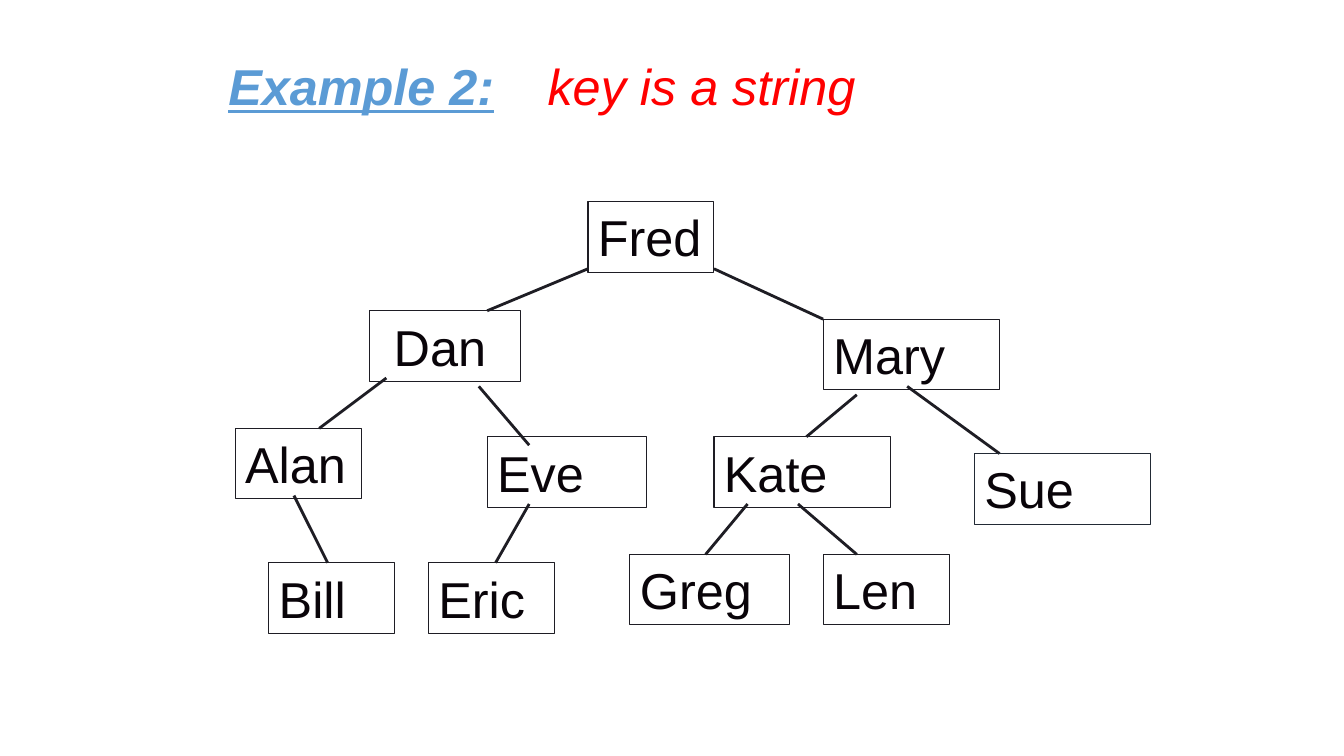
from typing import NamedTuple

from lxml.etree import SubElement
from pptx import Presentation
from pptx.dml.color import RGBColor
from pptx.enum.shapes import MSO_CONNECTOR as Connector, MSO_SHAPE as Preset
from pptx.enum.text import MSO_ANCHOR as Anchor, MSO_AUTO_SIZE as AutoSize, PP_ALIGN as Align
from pptx.oxml.ns import qn
from pptx.util import Pt

COLORS = {"heading": "5B9BD5", "topic": "FF0000", "key": "090409",
          "edge": "1E1D24", "sue_border": "222A35"}
BOX_HEIGHT = 50.4
SIDE_INSET = 7.2


class Title(NamedTuple):
    text: str
    left: float
    width: float
    color: str
    emphasis: bool


class Node(NamedTuple):
    key: str
    left: float
    top: float
    width: float
    border: str = "edge"
    indent: float = 0


class Edge(NamedTuple):
    x1: float
    y1: float
    x2: float
    y2: float


TITLES = [
    Title("Example 2:", 156, 312, "heading", True),
    Title("key is a string", 384, 264, "topic", False),
]

NODES = [
    Node("Fred", 420, 144, 90),
    Node("Dan", 264, 222, 108, indent=10),
    Node("Mary", 588, 228, 126),
    Node("Alan", 168, 306, 90),
    Node("Eve", 348, 312, 114),
    Node("Kate", 510, 312, 126),
    Node("Sue", 696, 324, 126, border="sue_border"),
    Node("Bill", 192, 402, 90),
    Node("Eric", 306, 402, 90),
    Node("Greg", 450, 396, 114),
    Node("Len", 588, 396, 90),
]

EDGES = [
    Edge(420, 192, 348, 222),  # Fred - Dan
    Edge(510, 192, 588, 228),  # Fred - Mary
    Edge(276, 270, 228, 306),  # Dan - Alan
    Edge(342, 276, 378, 318),  # Dan - Eve
    Edge(612, 282, 576, 312),  # Mary - Kate
    Edge(648, 276, 714, 324),  # Mary - Sue
    Edge(210, 354, 234, 402),  # Alan - Bill
    Edge(378, 360, 354, 402),  # Eve - Eric
    Edge(534, 360, 504, 396),  # Kate - Greg
    Edge(570, 360, 612, 396),  # Kate - Len
]


def rgb(name: str) -> RGBColor:
    return RGBColor.from_string(COLORS[name])


def write(shape, text: str, color: str, indent: float = 0):
    """Fill the shape with one line of text and return its font."""
    frame = shape.text_frame
    frame.word_wrap = True
    frame.auto_size = AutoSize.SHAPE_TO_FIT_TEXT
    frame.vertical_anchor = Anchor.TOP
    frame.margin_left = Pt(SIDE_INSET + indent)
    paragraph = frame.paragraphs[0]
    paragraph.text = text
    paragraph.alignment = Align.LEFT
    font = paragraph.font
    font.name = "Arial"
    font.size = Pt(36)
    font.color.rgb = rgb(color)
    return font


def draw_title(slide, title: Title) -> None:
    box = slide.shapes.add_textbox(Pt(title.left), Pt(36), Pt(title.width), Pt(BOX_HEIGHT))
    font = write(box, title.text, title.color)
    font.italic = True
    font.bold = title.emphasis
    font.underline = title.emphasis


def draw_edge(slide, edge: Edge) -> None:
    branch = slide.shapes.add_connector(Connector.STRAIGHT, *map(Pt, edge))
    branch.line.color.rgb = rgb("edge")
    branch.line.width = Pt(2)
    SubElement(branch._element.spPr, qn("a:effectLst"))


def draw_node(slide, node: Node) -> None:
    box = slide.shapes.add_shape(Preset.RECTANGLE, Pt(node.left), Pt(node.top),
                                 Pt(node.width), Pt(BOX_HEIGHT))
    box.shadow.inherit = False
    box.fill.background()
    box.line.color.rgb = rgb(node.border)
    box.line.width = Pt(0.75)
    write(box, node.key, "key", node.indent)


def main() -> None:
    deck = Presentation()
    deck.slide_width, deck.slide_height = Pt(960), Pt(540)
    slide = deck.slides.add_slide(deck.slide_layouts[6])

    # Heading line
    for title in TITLES:
        draw_title(slide, title)

    # Binary search tree
    for edge in EDGES:
        draw_edge(slide, edge)
    for node in NODES:
        draw_node(slide, node)

    deck.save("out.pptx")


if __name__ == "__main__":
    main()
